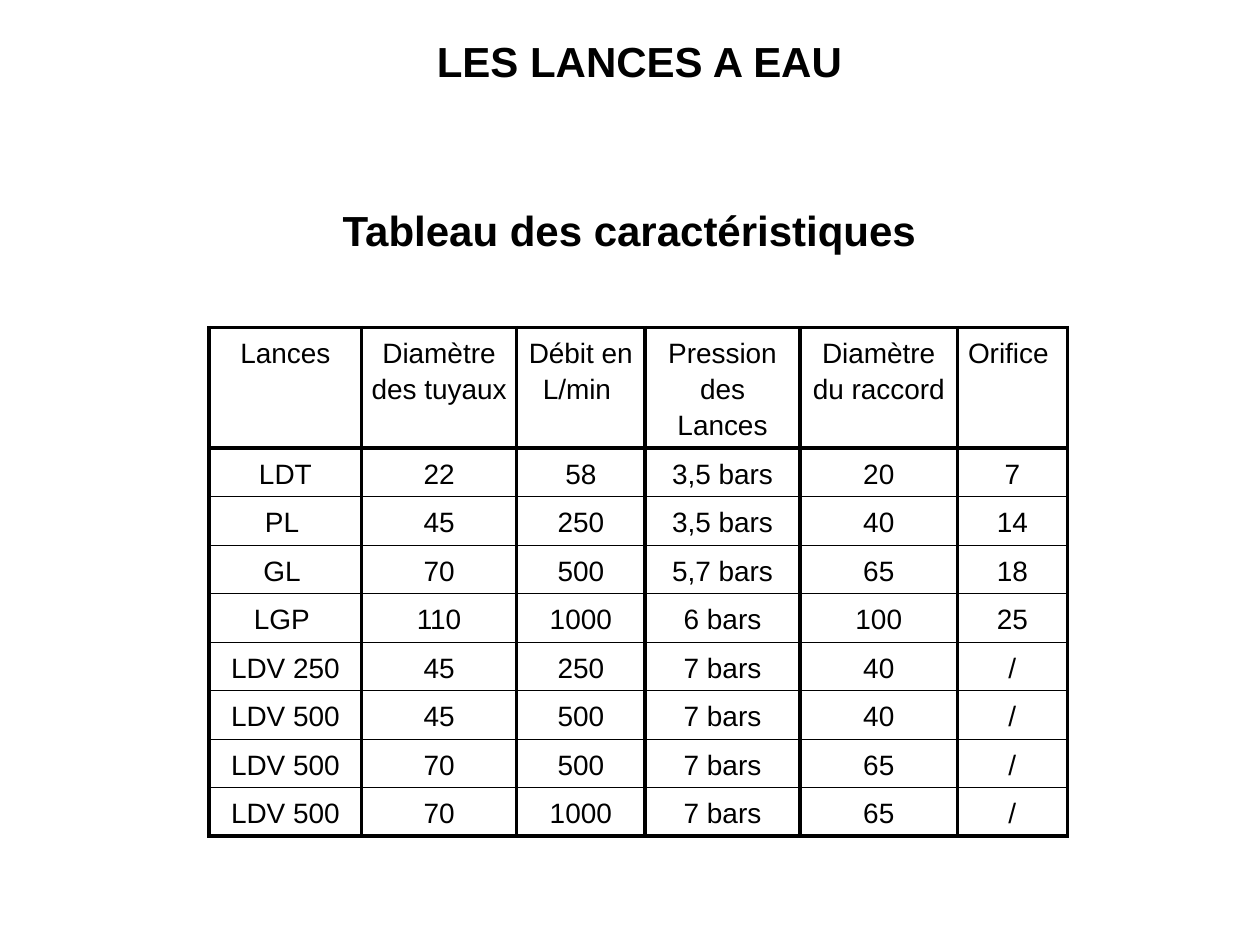
from lxml.etree import SubElement
from pptx import Presentation
from pptx.dml.color import RGBColor
from pptx.enum.text import MSO_ANCHOR as Anchor, PP_ALIGN as Align
from pptx.oxml.ns import qn
from pptx.util import Inches, Pt

WIDTH, HEIGHT = 10, 7.5
FONT, BLACK = "Arial", "000000"
THICK, RIGHT_EDGE, THIN = 2.21, 1.87, 0.45

COLUMN_WIDTHS = [1.21, 1.23, 1.02, 1.23, 1.25, 0.87]
HEADER_HEIGHT, ROW_HEIGHT = 0.92, 0.31
ROWS = [
    ["Lances", "Diamètre des tuyaux", "Débit en L/min ",
     "Pression des Lances", "Diamètre du raccord", "Orifice "],
    ["LDT", "22", "58", "3,5 bars", "20", "7"],
    ["PL ", "45", "250", "3,5 bars", "40", "14"],
    ["GL ", "70", "500", "5,7 bars", "65", "18"],
    ["LGP ", "110", "1000", "6 bars", "100", "25"],
    ["LDV 250", "45", "250", "7 bars", "40", "/"],
    ["LDV 500", "45", "500", "7 bars", "40", "/"],
    ["LDV 500", "70", "500", "7 bars", "65", "/"],
    ["LDV 500", "70", "1000", "7 bars", "65", "/"],
]


def color(hex_value):
    return RGBColor.from_string(hex_value)


def set_text(text_frame, text, size, bold=False):
    text_frame.text = text
    paragraph = text_frame.paragraphs[0]
    paragraph.alignment = Align.CENTER
    font = paragraph.runs[0].font
    font.name, font.size, font.bold = FONT, Pt(size), bold
    font.color.rgb = color(BLACK)
    return paragraph


def add_heading(slide, text, left, top):
    box = slide.shapes.add_textbox(Inches(left * WIDTH), Inches(top * HEIGHT),
                                   Inches(5.51), Inches(0.55))
    box.text_frame.word_wrap = True
    box.text_frame.vertical_anchor = Anchor.MIDDLE
    set_text(box.text_frame, text, 24, bold=True)


def set_borders(cell, widths):
    properties = cell._tc.get_or_add_tcPr()
    for side, width in zip("LRTB", widths):
        line = SubElement(properties, qn(f"a:ln{side}"), w=str(Pt(width)))
        fill = SubElement(line, qn("a:solidFill"))
        SubElement(fill, qn("a:srgbClr"), val=BLACK)


def format_cell(cell, text, borders):
    paragraph = set_text(cell.text_frame, text, 16)
    paragraph.line_spacing = Pt(20.5)
    cell.margin_left = cell.margin_right = Inches(0.07)
    cell.margin_top = cell.margin_bottom = Inches(0.05)
    # Borders must come before the fill in the cell properties
    set_borders(cell, borders)
    cell.fill.background()


def add_grid(slide, left, top):
    heights = [HEADER_HEIGHT] + [ROW_HEIGHT] * (len(ROWS) - 1)
    table = slide.shapes.add_table(
        len(ROWS), len(COLUMN_WIDTHS), Inches(left), Inches(top),
        Inches(sum(COLUMN_WIDTHS)), Inches(sum(heights))).table
    table.first_row = table.horz_banding = False
    for column, width in zip(table.columns, COLUMN_WIDTHS):
        column.width = Inches(width)
    for row, height in zip(table.rows, heights):
        row.height = Inches(height)

    # Thick lines around the header and the table, thin ones between rows
    last_row, last_column = len(ROWS) - 1, len(COLUMN_WIDTHS) - 1
    for r, texts in enumerate(ROWS):
        upper = THICK if r <= 1 else THIN
        lower = THICK if r in (0, last_row) else THIN
        for c, text in enumerate(texts):
            right = RIGHT_EDGE if c == last_column else THICK
            format_cell(table.cell(r, c), text, (THICK, right, upper, lower))


def main():
    presentation = Presentation()
    presentation.slide_width = Inches(WIDTH)
    presentation.slide_height = Inches(HEIGHT)
    slide = presentation.slides.add_slide(presentation.slide_layouts[6])

    # Headings
    add_heading(slide, "Tableau des caractéristiques", 0.224, 0.206)
    add_heading(slide, "LES LANCES A EAU", 0.232, 0.028)

    # Table of nozzle characteristics
    add_grid(slide, 1.66, 2.6)

    presentation.save("out.pptx")


if __name__ == "__main__":
    main()
